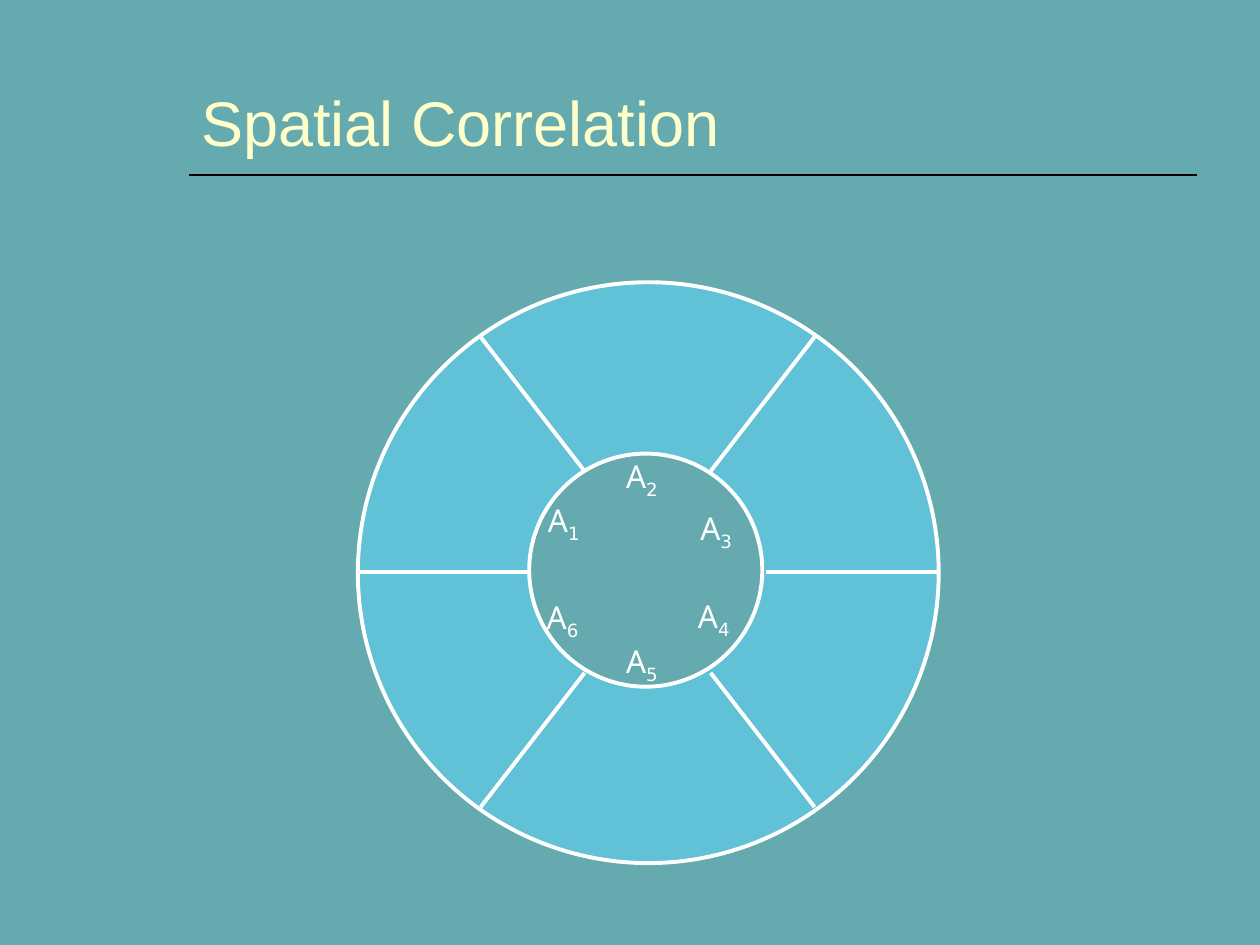
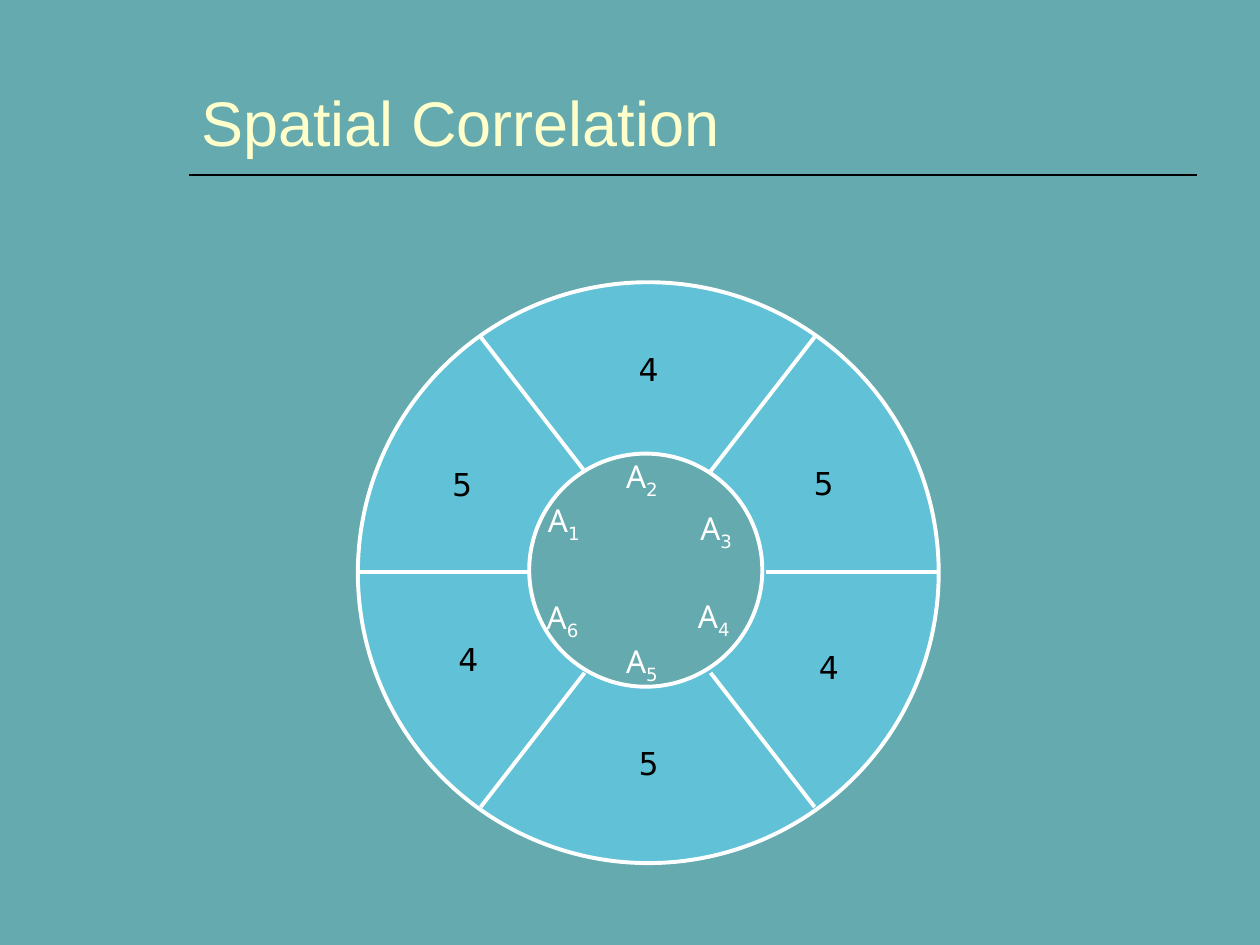
import itertools
from dataclasses import dataclass

import pptx
import pptx.dml.color
import pptx.enum.shapes
import pptx.enum.text
import pptx.oxml
import pptx.oxml.ns
import pptx.util

ANCHOR = pptx.enum.text.MSO_ANCHOR
ALIGN = pptx.enum.text.PP_ALIGN
FIT = pptx.enum.text.MSO_AUTO_SIZE
COLS, ROWS = 100, 75
WIDTH, HEIGHT = pptx.util.Inches(10), pptx.util.Inches(7.5)


@dataclass(frozen=True)
class Theme:
    background: str = "64AAAE"
    ring: str = "61C1D7"
    outline: str = "FFFFFF"
    title: str = "FFFFCC"
    rule: str = "000000"
    value: str = "000000"
    title_font: str = "Arial"
    label_font: str = "Noto Sans"
    value_font: str = "DejaVu Sans"
    title_size: int = 36
    text_size: int = 18
    rule_width: float = 1
    outline_width: float = 2.25


THEME = Theme()
CENTRE = (51.4, 45.4)
OUTER = (28.4, 22.4, 46.1)
INNER = (42, 36, 18.5)
DIAGONAL_SPOKE = ((5, 8), (13.25, 18.65))
LEVEL_SPOKE = ((9.4, 0), (23, 0))
LABEL_SPOTS = [(42.5, 39.3), (48.7, 35.8), (54.6, 39.9),
               (54.4, 46.9), (48.7, 50.5), (42.4, 47)]
VALUE_SPOTS = [(34.9, 36.4), (49.7, 27.3), (63.6, 36.3),
               (64, 50.9), (49.7, 58.6), (35.4, 50.3)]
VALUES = ["5", "4", "5", "4", "5", "4"]


def cells(*lengths):
    units = itertools.cycle((WIDTH / COLS, HEIGHT / ROWS))
    return [round(n * unit) for n, unit in zip(lengths, units)]


def rgb(colour):
    return pptx.dml.color.RGBColor.from_string(colour)


def apply(target, values):
    for name, value in values.items():
        setattr(target, name, value)


def add_run(p, text, font, size, colour):
    r = p.add_run()
    r.text = text
    apply(r.font, {"name": font, "size": pptx.util.Pt(size)})
    r.font.color.rgb = rgb(colour)
    return r


def add_text(slide, box, **frame):
    tf = slide.shapes.add_textbox(*cells(*box)).text_frame
    apply(tf, {"word_wrap": True, **frame})
    return tf.paragraphs[0]


def add_line(shapes, start, end, colour, width):
    straight = pptx.enum.shapes.MSO_CONNECTOR.STRAIGHT
    line = shapes.add_connector(straight, *cells(*start, *end))
    line.line.color.rgb = rgb(colour)
    line.line.width = pptx.util.Pt(width)
    sp_pr = line._element.find(pptx.oxml.ns.qn("p:spPr"))
    sp_pr.append(pptx.oxml.parse_xml(
        f'<a:effectLst {pptx.oxml.ns.nsdecls("a")}/>'))


def add_circle(shapes, left, top, diameter, fill):
    oval = pptx.enum.shapes.MSO_SHAPE.OVAL
    sp = shapes.add_shape(oval, *cells(left, top, diameter, diameter))
    sp.shadow.inherit = False
    sp.fill.solid()
    sp.fill.fore_color.rgb = rgb(fill)
    sp.line.color.rgb = rgb(THEME.outline)
    sp.line.width = pptx.util.Pt(THEME.outline_width)


def add_spoke(shapes, spoke, side, level):
    start, end = [(CENTRE[0] + side * dx, CENTRE[1] + level * dy)
                  for dx, dy in spoke]
    add_line(shapes, start, end, THEME.outline, THEME.outline_width)


def add_wheel(slide):
    shapes = slide.shapes.add_group_shape().shapes
    add_circle(shapes, *OUTER, THEME.ring)
    add_circle(shapes, *INNER, THEME.background)
    for level, side in itertools.product((-1, 1), repeat=2):
        add_spoke(shapes, DIAGONAL_SPOKE, side, level)
    for side in (-1, 1):
        add_spoke(shapes, LEVEL_SPOKE, side, 1)


def add_sector_labels(slide):
    for number, spot in enumerate(LABEL_SPOTS, 1):
        p = add_text(slide, (*spot, 5.5, 4.4), auto_size=FIT.SHAPE_TO_FIT_TEXT)
        add_run(p, "A", THEME.label_font, THEME.text_size, THEME.outline)
        r = add_run(p, str(number), THEME.value_font,
                    THEME.text_size, THEME.outline)
        r._r.get_or_add_rPr().set("baseline", "-25000")


def add_sector_values(slide):
    for value, spot in zip(VALUES, VALUE_SPOTS):
        p = add_text(slide, (*spot, 3.4, 4), word_wrap=False,
                     auto_size=FIT.SHAPE_TO_FIT_TEXT)
        p.alignment = ALIGN.CENTER
        add_run(p, value, THEME.value_font, THEME.text_size, THEME.value)


def add_slide(prs, title):
    slide = prs.slides.add_slide(prs.slide_layouts[6])
    slide.background.fill.solid()
    slide.background.fill.fore_color.rgb = rgb(THEME.background)
    add_line(slide.shapes, (15, 13.9), (95, 13.9),
             THEME.rule, THEME.rule_width)
    p = add_text(slide, (15, 0.6, 80, 12.5), vertical_anchor=ANCHOR.BOTTOM)
    add_run(p, title, THEME.title_font, THEME.title_size, THEME.title)
    return slide


def main():
    prs = pptx.Presentation()
    apply(prs, {"slide_width": WIDTH, "slide_height": HEIGHT})
    for has_values in (False, True):
        slide = add_slide(prs, "Spatial Correlation")
        add_wheel(slide)
        add_sector_labels(slide)
        if has_values:
            add_sector_values(slide)
    prs.save("out.pptx")


if __name__ == "__main__":
    main()
